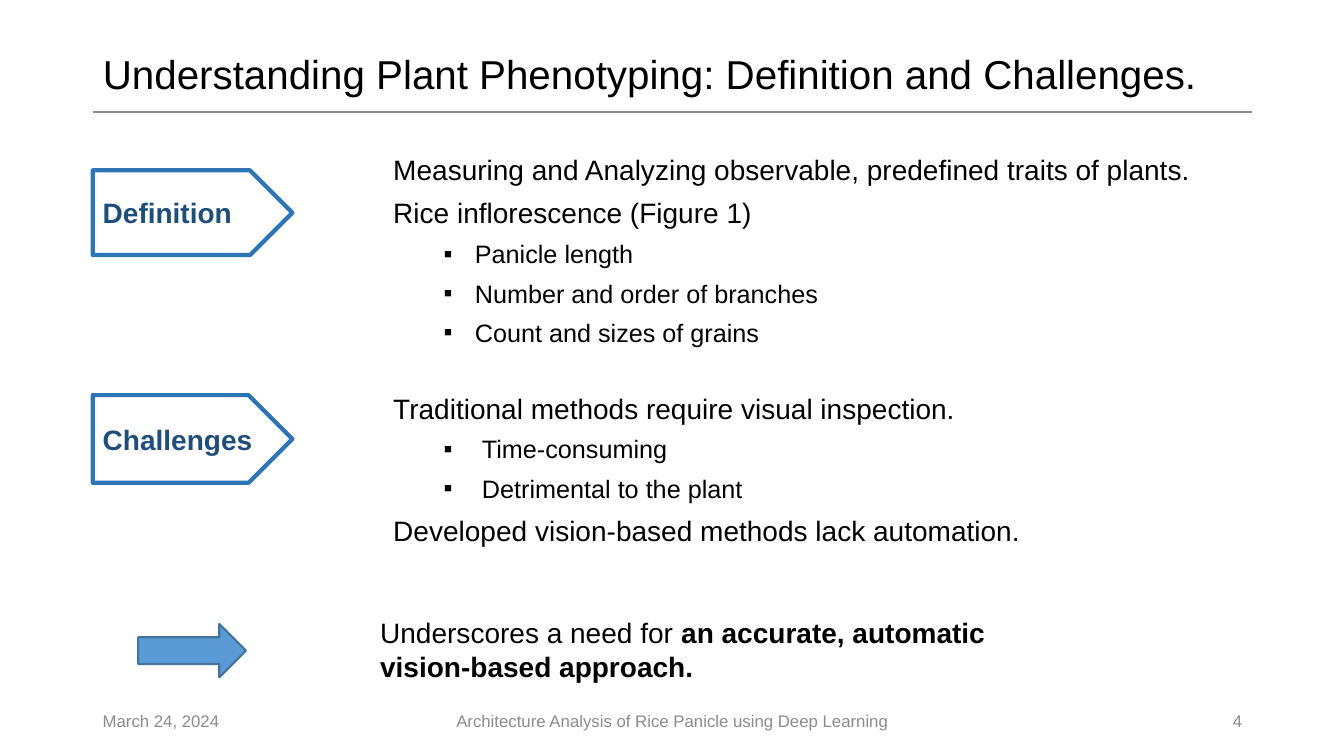
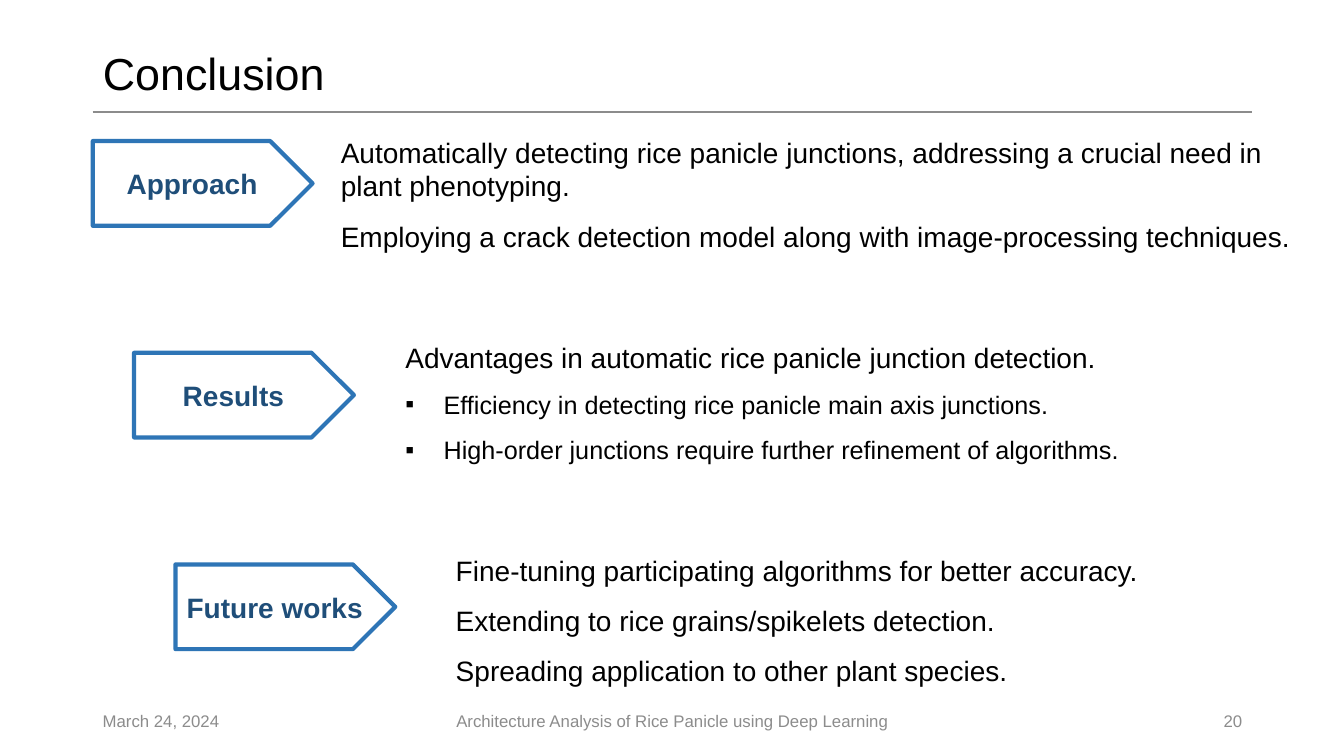
from dataclasses import dataclass

from lxml.etree import SubElement
from pptx import Presentation
from pptx.dml.color import RGBColor
from pptx.enum.shapes import MSO_CONNECTOR as Connector, MSO_SHAPE as Shape
from pptx.enum.text import MSO_ANCHOR as Anchor, MSO_AUTO_SIZE as AutoSize, PP_ALIGN as Align
from pptx.oxml.ns import qn
from pptx.util import Inches, Pt

FONT = "Arial"
COLORS = {
    "text": "000000", "muted": "8C8C8C", "paper": "FFFFFF",
    "tag_line": "2E75B6", "tag_text": "1F4E79",
    "arrow": "5B9BD5", "arrow_line": "43739E",
}
MARGIN, CONTENT_WIDTH, RULE_TOP = 0.92, 11.5, 1.11
FOOTER_TOP, FOOTER_HEIGHT = 6.95, 0.4
BULLET = "▪"
COMPARISON_LAYOUT = 4


@dataclass(frozen=True)
class Box:
    left: float
    top: float
    width: float
    height: float

    def lengths(self) -> tuple:
        return tuple(map(Inches, (self.left, self.top, self.width, self.height)))


@dataclass(frozen=True)
class Line:
    text: str
    strong: str = ""  # bold ending of the line
    size: float = 20
    spacing: float = 1.0
    indent: float = 0  # left edge of bulleted text
    hanging: float = 0  # bullet distance; zero means no bullet


@dataclass(frozen=True)
class Tag:
    label: str
    box: Box
    align: Align


@dataclass(frozen=True)
class TextBlock:
    box: Box
    lines: tuple[Line, ...]


@dataclass(frozen=True)
class SlideContent:
    title: str
    title_size: float
    number: str
    tags: tuple[Tag, ...]
    blocks: tuple[TextBlock, ...]
    arrow: Box | None = None


def rgb(name: str) -> RGBColor:
    return RGBColor.from_string(COLORS[name])


def add_run(paragraph, text: str, size: float, color: str = "text", bold: bool = False) -> None:
    run = paragraph.add_run()
    run.text = text
    font_format = {"name": FONT, "size": Pt(size), "bold": bold}
    for attribute, value in font_format.items():
        setattr(run.font, attribute, value)
    run.font.color.rgb = rgb(color)


def format_paragraph(paragraph, align=Align.LEFT, spacing: float = 1.0) -> None:
    paragraph_format = {
        "alignment": align, "line_spacing": spacing,
        "space_before": Pt(0), "space_after": Pt(0),
    }
    for attribute, value in paragraph_format.items():
        setattr(paragraph, attribute, value)


def format_frame(frame, anchor=Anchor.MIDDLE) -> None:
    frame_format = {
        "word_wrap": True, "auto_size": AutoSize.NONE, "vertical_anchor": anchor,
        "margin_left": Inches(0.1), "margin_right": Inches(0.1),
        "margin_top": Inches(0.05), "margin_bottom": Inches(0.05),
    }
    for attribute, value in frame_format.items():
        setattr(frame, attribute, value)


def set_label(shape, text: str, size: float, color: str = "text",
              align=Align.LEFT, bold: bool = False, spacing: float = 1.0) -> None:
    """Give a shape one vertically centred line of text."""
    format_frame(shape.text_frame)
    paragraph = shape.text_frame.paragraphs[0]
    format_paragraph(paragraph, align, spacing)
    add_run(paragraph, text, size, color, bold)


def place(shape, box: Box) -> None:
    shape.left, shape.top, shape.width, shape.height = box.lengths()


def set_bullet(paragraph, line: Line) -> None:
    properties = paragraph._p.get_or_add_pPr()
    properties.set("marL", str(Inches(line.indent)))
    properties.set("indent", str(Inches(-line.hanging)))
    if line.hanging:
        SubElement(properties, qn("a:buFont")).set("typeface", FONT)
        SubElement(properties, qn("a:buChar")).set("char", BULLET)
    else:
        SubElement(properties, qn("a:buNone"))


def add_shape(slide, kind, box: Box, fill: str, line: str, line_width: float):
    shape = slide.shapes.add_shape(kind, *box.lengths())
    shape.shadow.inherit = False
    shape.fill.solid()
    shape.fill.fore_color.rgb = rgb(fill)
    shape.line.color.rgb = rgb(line)
    shape.line.width = Pt(line_width)
    return shape


def add_frame(slide, content: SlideContent) -> None:
    """Title, rule below it and footer, alike on every slide."""
    title = slide.shapes.title
    place(title, Box(MARGIN, 0.4, CONTENT_WIDTH, 0.71))
    set_label(title, content.title, content.title_size, spacing=0.9)

    rule = slide.shapes.add_connector(
        Connector.STRAIGHT, Inches(MARGIN), Inches(RULE_TOP),
        Inches(MARGIN + CONTENT_WIDTH), Inches(RULE_TOP))
    rule.line.color.rgb = rgb("muted")
    rule.line.width = Pt(1)
    SubElement(rule._element.spPr, qn("a:effectLst"))

    footers = (
        ("March 24, 2024", MARGIN, 3, Align.LEFT),
        ("Architecture Analysis of Rice Panicle using Deep Learning", 4.42, 4.5, Align.CENTER),
        (content.number, 9.42, 3, Align.RIGHT),
    )
    for text, left, width, align in footers:
        box = Box(left, FOOTER_TOP, width, FOOTER_HEIGHT)
        set_label(slide.shapes.add_textbox(*box.lengths()), text, 12, "muted", align)


def fill_block(placeholder, block: TextBlock) -> None:
    place(placeholder, block.box)
    frame = placeholder.text_frame
    format_frame(frame, Anchor.TOP)
    for index, line in enumerate(block.lines):
        paragraph = frame.add_paragraph() if index else frame.paragraphs[0]
        format_paragraph(paragraph, spacing=line.spacing)
        set_bullet(paragraph, line)
        add_run(paragraph, line.text, line.size)
        if line.strong:
            add_run(paragraph, line.strong, line.size, bold=True)


def add_slide(presentation, content: SlideContent) -> None:
    slide = presentation.slides.add_slide(presentation.slide_layouts[COMPARISON_LAYOUT])
    add_frame(slide, content)

    # Pointed section tags
    for tag in content.tags:
        shape = add_shape(slide, Shape.PENTAGON, tag.box, "paper", "tag_line", 3)
        set_label(shape, tag.label, 20, "tag_text", tag.align, bold=True)
    if content.arrow:
        add_shape(slide, Shape.RIGHT_ARROW, content.arrow, "arrow", "arrow_line", 1.5)

    # Body text, without the placeholders left over
    bodies = [shape for shape in slide.placeholders if shape.placeholder_format.idx]
    for placeholder, block in zip(bodies, content.blocks):
        fill_block(placeholder, block)
    for placeholder in bodies[len(content.blocks):]:
        placeholder._element.getparent().remove(placeholder._element)


def lines(*texts: str, **line_format: float) -> tuple[Line, ...]:
    return tuple(Line(text, **line_format) for text in texts)


PHENOTYPING = SlideContent(
    title="Understanding Plant Phenotyping: Definition and Challenges.",
    title_size=28.8,
    number="4",
    tags=(
        Tag("Definition", Box(MARGIN, 1.69, 1.98, 0.84), Align.LEFT),
        Tag("Challenges", Box(MARGIN, 3.92, 1.98, 0.87), Align.LEFT),
    ),
    blocks=(
        TextBlock(Box(3.8, 1.36, 8.15, 2.16), (
            *lines("Measuring and Analyzing observable, predefined traits of plants.",
                   "Rice inflorescence (Figure 1)", spacing=1.3),
            *lines("Panicle length", "Number and order of branches",
                   "Count and sizes of grains",
                   size=18, spacing=1.3, indent=0.81, hanging=0.31),
        )),
        TextBlock(Box(3.8, 3.73, 8.15, 1.76), (
            Line("Traditional methods require visual inspection.", spacing=1.3),
            *lines("Time-consuming", "Detrimental to the plant",
                   size=18, spacing=1.3, indent=0.88, hanging=0.38),
            Line("Developed vision-based methods lack automation.", spacing=1.3),
        )),
        TextBlock(Box(3.67, 6.06, 6.21, 0.77), (
            Line("Underscores a need for ",
                 strong="an accurate, automatic vision-based approach."),
        )),
    ),
    arrow=Box(1.37, 6.19, 1.07, 0.53),
)

CONCLUSION = SlideContent(
    title="Conclusion",
    title_size=32,
    number="20",
    tags=tuple(
        Tag(label, Box(MARGIN + 0.41 * step, 1.4 + 2.1 * step, 2.18, 0.84), Align.CENTER)
        for step, label in enumerate(("Approach", "Results", "Future works"))
    ),
    blocks=(
        TextBlock(Box(3.28, 1.29, 9.66, 1.28), (
            Line("Automatically detecting rice panicle junctions, "
                 "addressing a crucial need in plant phenotyping."),
            Line("Employing a crack detection model along with "
                 "image-processing techniques.", spacing=1.5),
        )),
        TextBlock(Box(3.92, 3.16, 7.41, 1.51), (
            Line("Advantages in automatic rice panicle junction detection.", spacing=1.5),
            *lines("Efficiency in detecting rice panicle main axis junctions.",
                   "High-order junctions require further refinement of algorithms.",
                   size=18, spacing=1.5, indent=0.38, hanging=0.38),
        )),
        TextBlock(Box(4.42, 5.27, 7.02, 1.62), lines(
            "Fine-tuning participating algorithms for better accuracy.",
            "Extending to rice grains/spikelets detection.",
            "Spreading application to other plant species.", spacing=1.5)),
    ),
)


def main() -> None:
    presentation = Presentation()
    presentation.slide_width, presentation.slide_height = Inches(13.33), Inches(7.5)
    for content in (PHENOTYPING, CONCLUSION):
        add_slide(presentation, content)
    presentation.save("out.pptx")


if __name__ == "__main__":
    main()
